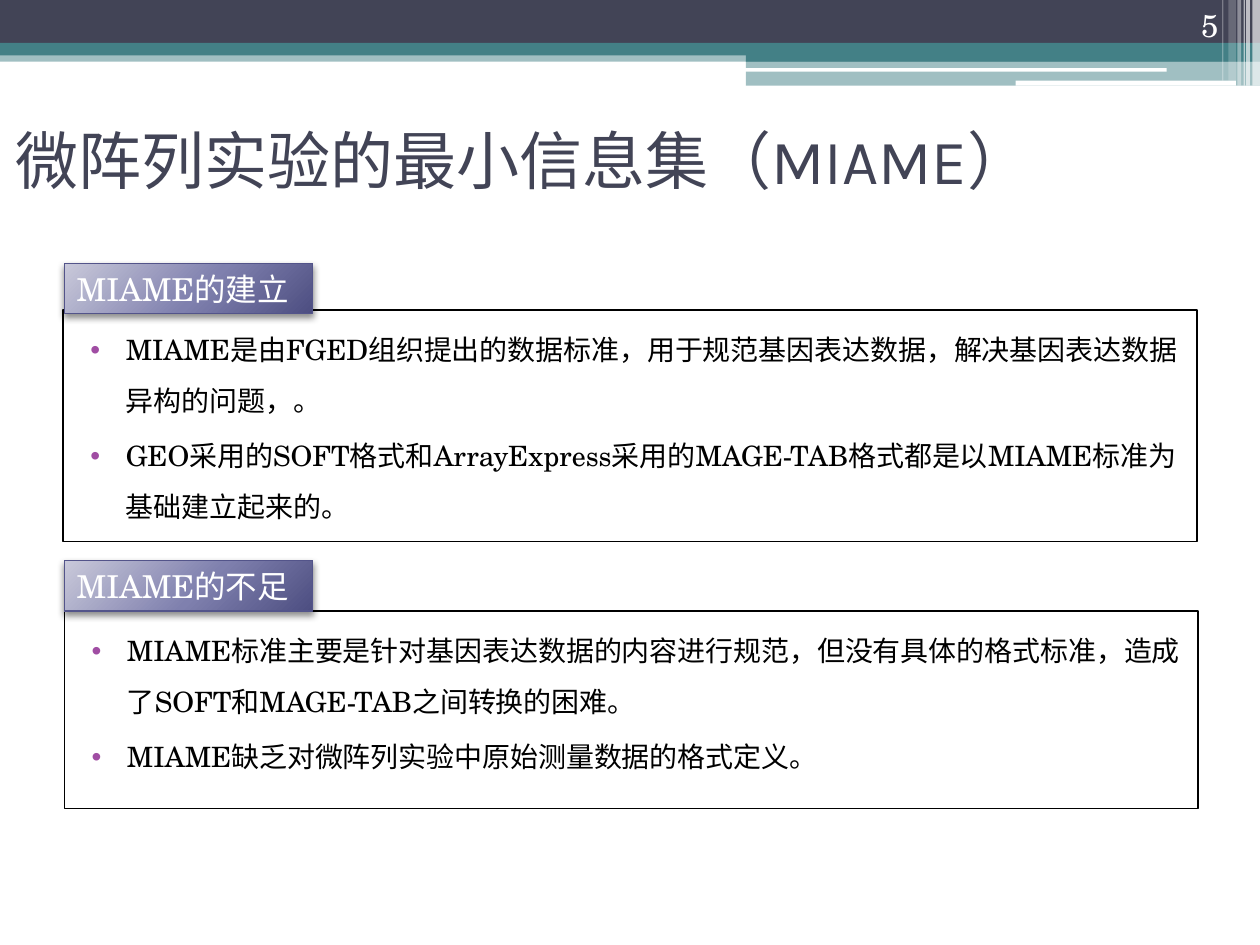
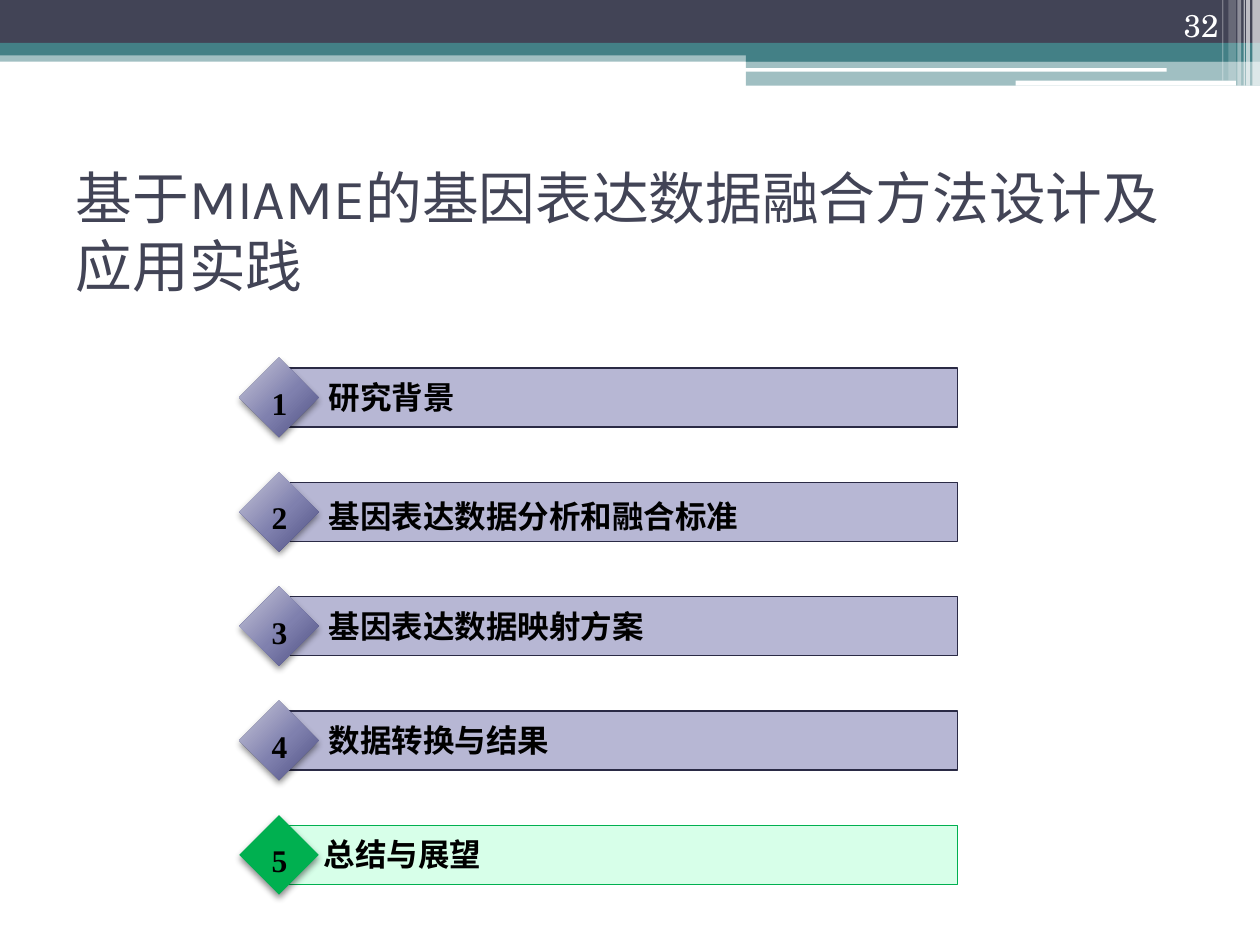
"""Build two slides about the MIAME standard for microarray experiments."""
from lxml.etree import SubElement
from pptx import Presentation
from pptx.dml.color import RGBColor
from pptx.enum.shapes import MSO_SHAPE
from pptx.enum.text import MSO_ANCHOR, MSO_AUTO_SIZE, PP_ALIGN
from pptx.oxml import parse_xml
from pptx.oxml.ns import nsdecls, qn
from pptx.util import Inches, Pt

COLORS = {
    "white": "FFFFFF", "black": "000000", "navy": "424456", "teal": "438086",
    "bullet": "A04DA3", "tag_line": "53548A", "bar": "B7B7D4", "bar_line": "2A2A45",
    "green": "00B050", "mint": "B9FFD9",
    "light": "C9C9DA", "middle": "7F80AE", "dark": "4D4E81",
}
TITLE_FONT, BODY_FONT, AGENDA_FONT = "Karla", "TeX Gyre Schola", "Times New Roman"
GRADIENT = ((0, "light"), (55, "middle"), (100, "dark"))
BANDS = [
    (0, 0.4, 10, 0.09, "teal", 50),
    (0, 0, 10, 0.34, "navy", 100),
    (0, 0.34, 10, 0.1, "teal", 100),
    (5.92, 0.39, 4.08, 0.1, "teal", 100),
    (5.92, 0.48, 4.08, 0.2, "teal", 50),
    (5.91, 0.54, 3.35, 0.03, "white", 100),
    (8.06, 0.64, 1.75, 0.04, "white", 100),
    (9.94, 0, 0.06, 0.68, "white", 65),
    (9.89, 0, 0.03, 0.68, "white", 65),
    (9.87, 0, 0.01, 0.68, "white", 60),
    (9.82, 0, 0.03, 0.68, "white", 40),
    (9.75, 0, 0.06, 0.64, "white", 20),
    (9.7, 0, 0.01, 0.64, "white", 30),
]
PANELS = [
    ("MIAME的建立", 2.09, (0.5, 2.46, 9, 1.84), [
        "MIAME是由FGED组织提出的数据标准，用于规范基因表达数据，解决基因表达数据异构的问题，。",
        "GEO采用的SOFT格式和ArrayExpress采用的MAGE-TAB格式都是以MIAME标准为基础建立起来的。",
    ]),
    ("MIAME的不足", 4.45, (0.51, 4.85, 9, 1.57), [
        "MIAME标准主要是针对基因表达数据的内容进行规范，但没有具体的格式标准，造成了SOFT和MAGE-TAB之间转换的困难。",
        "MIAME缺乏对微阵列实验中原始测量数据的格式定义。",
    ]),
]
AGENDA = ["研究背景", "基因表达数据分析和融合标准", "基因表达数据映射方案", "数据转换与结果", "总结与展望"]
CURRENT_ITEM = 5


def color(name):
    """Return the named colour."""
    return RGBColor.from_string(COLORS[name])


def write(frame, text, size=18, font=BODY_FONT, ink="black", bold=False, align=PP_ALIGN.LEFT,
          anchor=MSO_ANCHOR.TOP, bulleted=False):
    """Fill a text frame with a string, or a list of strings, in one format."""
    frame.word_wrap = True
    frame.auto_size = MSO_AUTO_SIZE.NONE
    frame.vertical_anchor = anchor
    lines = [text] if isinstance(text, str) else text
    for index, line in enumerate(lines):
        paragraph = frame.add_paragraph() if index else frame.paragraphs[0]
        paragraph.alignment = align
        if bulleted:
            paragraph.line_spacing = 1.5
            paragraph.space_before = Pt(3 if index else 0)
            properties = paragraph._p.get_or_add_pPr()
            properties.set("marL", str(Inches(0.4)))
            properties.set("indent", str(Inches(-0.28)))
            bullet_color = SubElement(properties, qn("a:buClr"))
            SubElement(bullet_color, qn("a:srgbClr"), val=COLORS["bullet"])
            SubElement(properties, qn("a:buFont"), typeface="Arial")
            SubElement(properties, qn("a:buChar"), char="•")
        run = paragraph.add_run()
        run.text = line
        run.font.size = Pt(size)
        run.font.name = font
        run.font.bold = bold
        run.font.color.rgb = color(ink)


class Deck:
    """Hold the presentation style and the slide being drawn."""

    def __init__(self):
        """Start an empty 4:3 presentation."""
        self.presentation = Presentation()
        self.presentation.slide_width = Inches(10)
        self.presentation.slide_height = Inches(7.5)
        self.slide = None
        self.canvas = None

    def add_slide(self, title, number, left, top, size):
        """Add a slide with its title and page number."""
        self.slide = self.presentation.slides.add_slide(self.presentation.slide_layouts[5])
        self.canvas = self.slide.shapes
        if len(self.presentation.slides) == 1:
            self.add_master_bands()
        shape = self.slide.shapes.title
        shape.left, shape.top = Inches(left), Inches(top)
        shape.width, shape.height = Inches(9), Inches(1.17)
        write(shape.text_frame, title, size=size, font=TITLE_FONT, ink="navy",
              anchor=MSO_ANCHOR.MIDDLE)
        self.add_text(number, 8.94, 0, 0.83, 0.4, ink="white", align=PP_ALIGN.RIGHT,
                      anchor=MSO_ANCHOR.BOTTOM)

    def add_master_bands(self):
        """Draw the header bands and move them to the slide master."""
        master_tree = self.presentation.slide_master.shapes.element
        for index, (left, top, width, height, fill, opacity) in enumerate(BANDS):
            band = self.add_shape(left, top, width, height, fill=fill, opacity=opacity)
            band.element.nvSpPr.cNvPr.set("id", str(100 + index))
            master_tree.insert(2 + index, band.element)

    def add_shape(self, left, top, width, height, kind=MSO_SHAPE.RECTANGLE, fill=None,
                  opacity=100, line=None, raised=False):
        """Add a preset shape; fill may be a colour name or gradient stops."""
        shape = self.canvas.add_shape(kind, Inches(left), Inches(top), Inches(width), Inches(height))
        shape.shadow.inherit = False
        if fill is None:
            shape.fill.background()
        elif isinstance(fill, str):
            shape.fill.solid()
            shape.fill.fore_color.rgb = color(fill)
            if opacity < 100:
                solid = shape.element.spPr.find(qn("a:solidFill"))
                SubElement(solid[0], qn("a:alpha"), val=str(opacity * 1000))
        else:
            self.add_gradient(shape, fill)
        if line:
            shape.line.color.rgb = color(line)
            shape.line.width = Pt(0.75)
        else:
            shape.line.fill.background()
        if raised:
            self.add_shadow(shape)
        return shape

    def add_gradient(self, shape, stops):
        """Give a shape the radial gradient."""
        stop_xml = "".join(
            f'<a:gs pos="{position * 1000}"><a:srgbClr val="{COLORS[name]}"/></a:gs>'
            for position, name in stops)
        shape.element.spPr.insert(2, parse_xml(
            f'<a:gradFill {nsdecls("a")} rotWithShape="1"><a:gsLst>{stop_xml}</a:gsLst>'
            '<a:path path="circle"><a:fillToRect l="-40000" t="-90000" r="140000" b="190000"/>'
            '</a:path></a:gradFill>'))

    def add_shadow(self, shape):
        """Give a shape a soft shadow below it."""
        effects = shape.element.spPr.find(qn("a:effectLst"))
        shadow = SubElement(effects, qn("a:outerShdw"), blurRad=str(Pt(4)), dist=str(Pt(2)),
                            dir="5400000", rotWithShape="0")
        shadow_color = SubElement(shadow, qn("a:srgbClr"), val=COLORS["black"])
        SubElement(shadow_color, qn("a:alpha"), val="45000")

    def add_text(self, text, left, top, width, height, **text_format):
        """Add a text box."""
        shape = self.canvas.add_textbox(Inches(left), Inches(top), Inches(width), Inches(height))
        write(shape.text_frame, text, **text_format)

    def add_panel(self, heading, heading_top, box, points):
        """Add an outlined bullet box with a gradient heading tag."""
        panel = self.add_shape(*box, line="black")
        write(panel.text_frame, points, size=16, bulleted=True)
        tag = self.add_shape(0.51, heading_top, 1.97, 0.4, fill=GRADIENT, line="tag_line", raised=True)
        write(tag.text_frame, heading, ink="white")

    def add_agenda_item(self, number, label):
        """Add one grouped agenda row with its numbered diamond."""
        top = 2.84 + 0.9075 * (number - 1)
        current = number == CURRENT_ITEM
        self.canvas = self.slide.shapes.add_group_shape().shapes
        self.add_shape(2.24, top + 0.08, 5.36, 0.47, fill="mint" if current else "bar",
                       opacity=56 if current else 100, line="green" if current else "bar_line")
        diamond = self.add_shape(1.9, top, 0.63, 0.63, kind=MSO_SHAPE.DIAMOND,
                                 fill="green" if current else GRADIENT, raised=True)
        write(diamond.text_frame, str(number), font=AGENDA_FONT, bold=True)
        self.add_text(label, 2.47 if current else 2.51, top + (0.15 if number == 2 else 0.11),
                      5.06, 0.4, font=AGENDA_FONT, bold=True)
        self.canvas = self.slide.shapes


def main():
    """Build and save both slides."""
    deck = Deck()
    deck.add_slide("微阵列实验的最小信息集（MIAME）", "5", left=0.02, top=0.68, size=36)
    for panel in PANELS:
        deck.add_panel(*panel)
    deck.add_slide("基于MIAME的基因表达数据融合方法设计及应用实践", "32", left=0.5, top=1.25, size=32.4)
    for number, label in enumerate(AGENDA, start=1):
        deck.add_agenda_item(number, label)
    deck.presentation.save("out.pptx")


if __name__ == "__main__":
    main()
